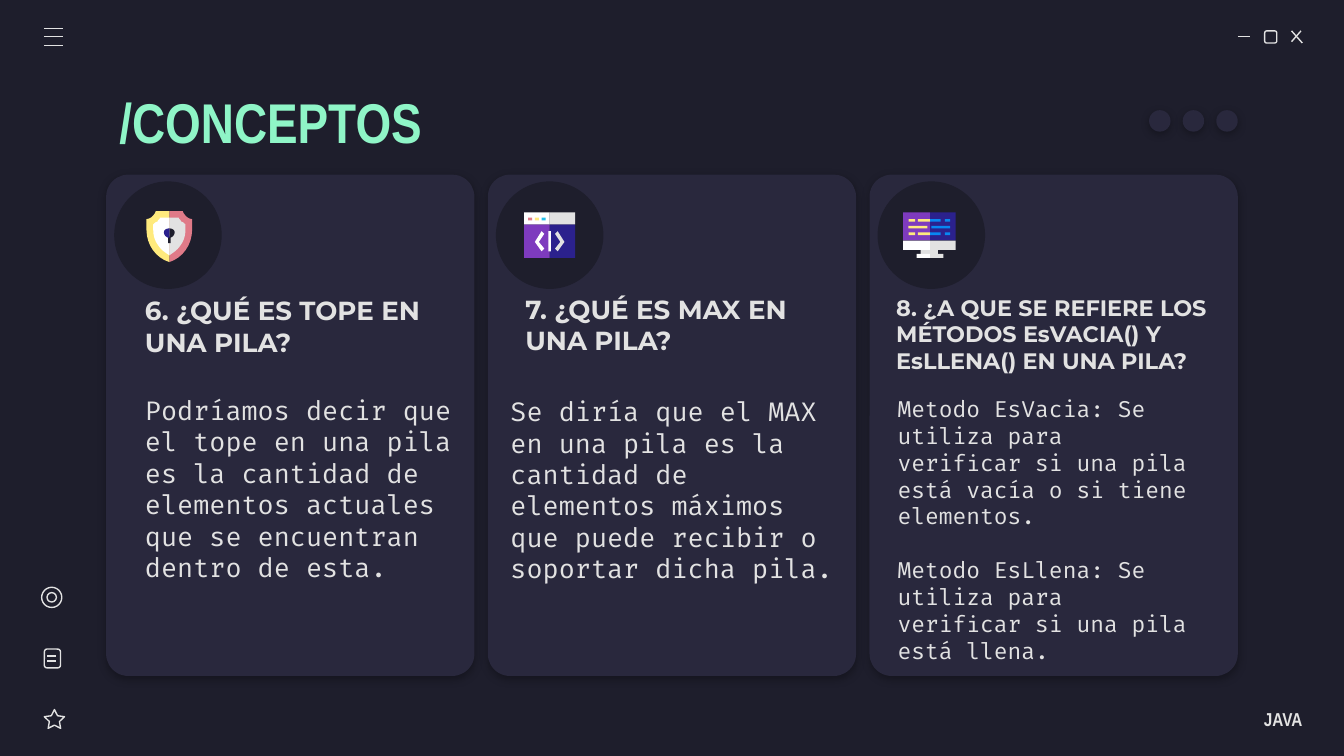
from lxml.etree import SubElement
from pptx import Presentation
from pptx.dml.color import RGBColor
from pptx.enum.shapes import MSO_CONNECTOR, MSO_SHAPE
from pptx.enum.text import MSO_ANCHOR, PP_ALIGN
from pptx.oxml.ns import qn
from pptx.util import Inches, Pt

BACKGROUND, PANEL, LIGHT, MINT = "1E1E2C", "29283D", "E2E2E2", "8FF5C7"
WHITE, YELLOW, PINK = "FFFFFF", "FFEA7D", "E07A88"
PURPLE, NAVY, BLUE, CYAN = "7E3BBE", "2B218D", "0887F2", "24BFEB"
SLIDE_WIDTH = 10
CARD_LEFT, CARD_STEP = 0.79, 2.84

SHIELD = [(0, 1.57), (0, 1.95), (0.1, 1.92, 0.17, 1.82, 0.17, 1.71),
          (0.17, 1.63), (0.14, 1.63, 0.11, 1.6, 0.1, 1.57)]
SHIELD_CORE = [(0, 1.62), (0, 1.9), (0.03, 1.88, 0.06, 1.86, 0.08, 1.83),
               (0.11, 1.79, 0.12, 1.75, 0.12, 1.71), (0.12, 1.67),
               (0.11, 1.66, 0.1, 1.65, 0.09, 1.65), (0.08, 1.63, 0.07, 1.63, 0.07, 1.62)]
KEYHOLE = [(0, 1.7), (0.02, 1.7, 0.04, 1.71, 0.04, 1.73), (0.04, 1.75, 0.02, 1.77, 0, 1.77)]
CHEVRON = [(0.06, 1.72), (0.11, 1.8), (0.06, 1.87), (0.04, 1.85), (0.08, 1.8), (0.04, 1.74)]


def color(value):
    """Turn a hex string into a colour."""
    return RGBColor.from_string(value)


def paint(shape, fill=None, line=None):
    """Set the fill and outline of a shape and remove its shadow."""
    shape.shadow.inherit = False
    if fill:
        shape.fill.solid()
        shape.fill.fore_color.rgb = color(fill)
    else:
        shape.fill.background()
    if line:
        shape.line.color.rgb = color(line)
        shape.line.width = Pt(0.75)
    else:
        shape.line.fill.background()


def add_figure(slide, kind, left, top, width, height, fill=None, line=None):
    """Add a preset shape."""
    shape = slide.shapes.add_shape(kind, Inches(left), Inches(top), Inches(width), Inches(height))
    paint(shape, fill, line)
    return shape


def add_shadow(shape):
    """Give a shape a soft shadow that falls downwards."""
    effects = shape._element.spPr.find(qn("a:effectLst"))
    shadow = SubElement(effects, qn("a:outerShdw"), blurRad=str(Pt(4.5)), dist=str(Pt(1.5)),
                        dir="5400000", algn="bl", rotWithShape="0")
    black = SubElement(shadow, qn("a:srgbClr"), val="000000")
    SubElement(black, qn("a:alpha"), val="30000")


def add_line(slide, x1, y1, x2, y2):
    """Add a thin light line."""
    connector = slide.shapes.add_connector(
        MSO_CONNECTOR.STRAIGHT, Inches(x1), Inches(y1), Inches(x2), Inches(y2))
    connector.line.color.rgb = color(LIGHT)
    connector.line.width = Pt(0.75)
    SubElement(connector._element.spPr, qn("a:effectLst"))


def trace(outline, steps=8):
    """Turn corners and Bezier curves into a list of points."""
    points = []
    for part in outline:
        if len(part) == 2:
            points.append(part)
            continue
        (x0, y0), (x1, y1, x2, y2, x3, y3) = points[-1], part
        for step in range(1, steps + 1):
            t = step / steps
            a, b, c, d = (1 - t) ** 3, 3 * t * (1 - t) ** 2, 3 * t * t * (1 - t), t ** 3
            points.append((a * x0 + b * x1 + c * x2 + d * x3, a * y0 + b * y1 + c * y2 + d * y3))
    return points


def add_halves(slide, center, outline, left_fill, right_fill):
    """Draw an outline on both sides of a vertical axis."""
    for side, fill in ((1, right_fill), (-1, left_fill)):
        points = [(Inches(center + side * x), Inches(y)) for x, y in trace(outline)]
        builder = slide.shapes.build_freeform(*points[0], scale=1.0)
        builder.add_line_segments(points[1:], close=True)
        paint(builder.convert_to_shape(), fill)


def add_blocks(slide, blocks):
    """Draw plain rectangles."""
    for left, top, width, height, fill in blocks:
        add_figure(slide, MSO_SHAPE.RECTANGLE, left, top, width, height, fill)


def add_text(slide, box, text, size, font, fill=LIGHT, bold=False, align=PP_ALIGN.LEFT,
             anchor=MSO_ANCHOR.MIDDLE, top_inset=0.1, right_inset=0.1, gap=0):
    """Add a text box with one style for all its paragraphs."""
    text_frame = slide.shapes.add_textbox(*map(Inches, box)).text_frame
    text_frame.word_wrap = True
    text_frame.vertical_anchor = anchor
    text_frame.margin_left = text_frame.margin_bottom = Inches(0.1)
    text_frame.margin_top, text_frame.margin_right = Inches(top_inset), Inches(right_inset)
    text_frame.text = text
    for index, paragraph in enumerate(text_frame.paragraphs):
        paragraph.alignment = align
        if index:
            paragraph.space_before = Pt(gap)
        for run in paragraph.runs:
            run.font.size, run.font.name, run.font.bold = Pt(size), font, bold
            run.font.color.rgb = color(fill)


def add_cards(slide):
    """Draw the three cards with their icon discs."""
    for column in range(3):
        left = CARD_LEFT + column * CARD_STEP
        card = add_figure(slide, MSO_SHAPE.ROUNDED_RECTANGLE, left, 1.3, 2.74, 3.73, PANEL)
        card.adjustments[0] = 0.06
        add_shadow(card)
        add_figure(slide, MSO_SHAPE.OVAL, left + 0.06, 1.35, 0.8, 0.8, BACKGROUND)


def add_window_controls(slide):
    """Draw the menu, window buttons and header dots."""
    add_line(slide, 9.21, 0.27, 9.3, 0.27)
    add_figure(slide, MSO_SHAPE.ROUNDED_RECTANGLE, 9.41, 0.23, 0.09, 0.09, line=LIGHT)
    add_line(slide, 9.61, 0.23, 9.69, 0.32)
    add_line(slide, 9.68, 0.23, 9.61, 0.31)
    for y in (0.21, 0.27, 0.34):
        add_line(slide, 0.33, y, 0.47, y)
    for index in range(3):
        add_shadow(add_figure(slide, MSO_SHAPE.OVAL, 8.55 + index * 0.25, 0.82, 0.16, 0.16, PANEL))


def add_side_icons(slide):
    """Draw the ring, note and star at the left edge."""
    add_figure(slide, MSO_SHAPE.OVAL, 0.31, 4.37, 0.15, 0.15, line=LIGHT)
    add_figure(slide, MSO_SHAPE.OVAL, 0.35, 4.41, 0.07, 0.07, line=LIGHT)
    add_figure(slide, MSO_SHAPE.ROUNDED_RECTANGLE, 0.33, 4.83, 0.12, 0.14, line=LIGHT)
    for y in (4.88, 4.92):
        add_line(slide, 0.35, y, 0.42, y)
    star = add_figure(slide, MSO_SHAPE.STAR_5_POINT, 0.33, 5.28, 0.15, 0.14, line=LIGHT)
    star.adjustments[0] = 0.25


def add_shield_icon(slide):
    """Draw the shield with its keyhole."""
    add_halves(slide, 1.26, SHIELD, YELLOW, PINK)
    add_halves(slide, 1.26, SHIELD_CORE, WHITE, LIGHT)
    add_blocks(slide, [(1.25, 1.76, 0.02, 0.05, BACKGROUND)])
    add_halves(slide, 1.26, KEYHOLE, NAVY, BACKGROUND)


def add_code_icon(slide):
    """Draw the code window."""
    add_blocks(slide, [(4.09, 1.67, 0.19, 0.25, NAVY), (3.9, 1.67, 0.19, 0.25, PURPLE),
                       (4.09, 1.58, 0.19, 0.09, LIGHT), (3.9, 1.58, 0.19, 0.09, WHITE)])
    add_blocks(slide, [(3.93 + 0.05 * index, 1.62, 0.03, 0.02, fill)
                       for index, fill in enumerate((PINK, YELLOW, CYAN))])
    add_halves(slide, 4.09, CHEVRON, WHITE, LIGHT)
    add_blocks(slide, [(4.08, 1.72, 0.02, 0.15, WHITE)])


def add_monitor_icon(slide):
    """Draw the monitor with its lines of code."""
    add_blocks(slide, [(6.92, 1.58, 0.19, 0.21, NAVY), (6.72, 1.58, 0.2, 0.21, PURPLE),
                       (6.85, 1.84, 0.13, 0.06, LIGHT), (6.92, 1.89, 0.1, 0.03, LIGHT),
                       (6.82, 1.89, 0.1, 0.03, WHITE), (6.92, 1.79, 0.19, 0.07, LIGHT),
                       (6.72, 1.79, 0.2, 0.07, WHITE), (6.93, 1.68, 0.14, 0.02, BLUE),
                       (6.76, 1.68, 0.14, 0.02, YELLOW)])
    for y in (1.63, 1.73):
        add_blocks(slide, [(6.76, y, 0.05, 0.02, YELLOW), (6.83, y, 0.09, 0.02, YELLOW),
                           (6.92, y, 0.08, 0.02, BLUE), (7.03, y, 0.04, 0.02, BLUE)])


def add_texts(slide):
    """Write the heading, questions, answers and footer."""
    add_text(slide, (0.79, 0.59, 4.97, 0.63), "/CONCEPTOS", 30, "Arial Narrow", MINT, True)
    for box, text, size in (
            ((0.98, 2.03, 2.38, 0.79), "6. ¿QUÉ ES TOPE EN UNA PILA?", 14),
            ((3.81, 2.16, 2.38, 0.51), "7. ¿QUÉ ES MAX EN UNA PILA?", 14),
            ((6.57, 2.23, 2.58, 0.51),
             "8. ¿A QUE SE REFIERE LOS MÉTODOS EsVACIA() Y EsLLENA() EN UNA PILA?", 12)):
        add_text(slide, box, text, size, "Montserrat", bold=True)
    add_text(slide, (0.98, 3.09, 2.61, 1.09), "Podríamos decir que el tope en una pila es la "
             "cantidad de elementos actuales que se encuentran dentro de esta.", 14, "Fira Code")
    add_text(slide, (3.7, 2.91, 2.7, 1.47), "Se diría que el MAX en una pila es la cantidad de "
             "elementos máximos que puede recibir o soportar dicha pila.", 14, "Fira Code")
    add_text(slide, (6.58, 2.9, 2.38, 2.27), "Metodo EsVacia: Se utiliza para verificar si una "
             "pila está vacía o si tiene elementos.\nMetodo EsLlena: Se utiliza para verificar "
             "si una pila está llena.", 12, "Fira Code", anchor=MSO_ANCHOR.TOP,
             top_inset=0.04, gap=14.4)
    add_text(slide, (8.52, 5.2, 1.17, 0.3), "JAVA", 10, "Arial Narrow", bold=True,
             align=PP_ALIGN.RIGHT, right_inset=0)


def main():
    """Build the slide and save it."""
    presentation = Presentation()
    presentation.slide_width = Inches(SLIDE_WIDTH)
    presentation.slide_height = Inches(SLIDE_WIDTH * 9 / 16)
    slide = presentation.slides.add_slide(presentation.slide_layouts[6])
    slide.background.fill.solid()
    slide.background.fill.fore_color.rgb = color(BACKGROUND)
    for add_part in (add_cards, add_window_controls, add_side_icons, add_texts,
                     add_shield_icon, add_code_icon, add_monitor_icon):
        add_part(slide)
    presentation.save("out.pptx")


if __name__ == "__main__":
    main()
